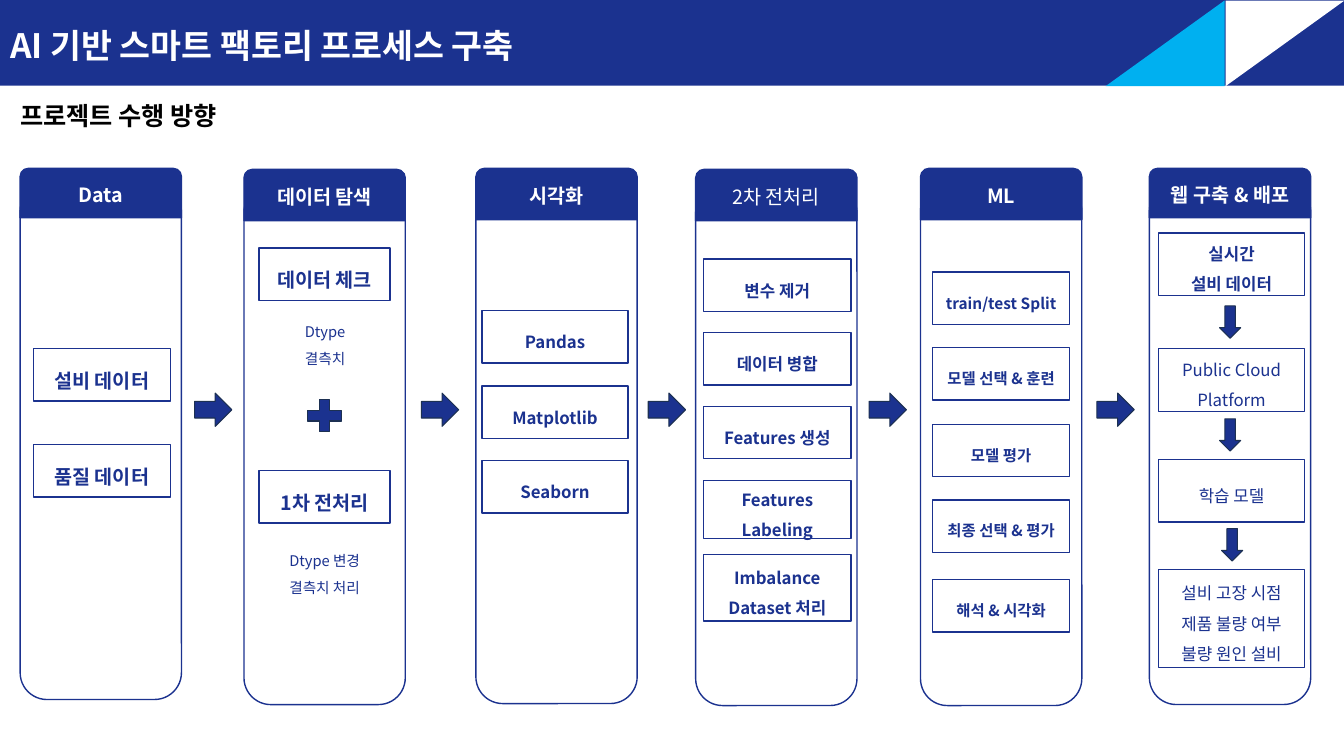
from dataclasses import dataclass

import pptx
import pptx.dml.color
import pptx.enum.shapes
import pptx.enum.text
import pptx.oxml
import pptx.oxml.ns
import pptx.presentation
import pptx.shapes.autoshape
import pptx.slide
import pptx.text.text
import pptx.util

Inches = pptx.util.Inches
MSO_SHAPE = pptx.enum.shapes.MSO_SHAPE
PP_ALIGN = pptx.enum.text.PP_ALIGN
MSO_ANCHOR = pptx.enum.text.MSO_ANCHOR


@dataclass(frozen=True)
class Theme:
    font: str = "Noto Sans CJK KR"
    navy: str = "1B328F"
    arrow_edge: str = "1C3052"
    cyan: str = "00B0F0"
    white: str = "FFFFFF"
    black: str = "000000"
    title: float = 24
    subtitle: float = 18
    heading: float = 14
    card: float = 12
    small_card: float = 11
    note: float = 10.5


@dataclass(frozen=True)
class Box:
    left: float
    top: float
    width: float
    height: float


@dataclass(frozen=True)
class Style:
    size: float
    color: str
    bold: bool = True
    align: PP_ALIGN = PP_ALIGN.CENTER
    spacing: float = 1.0


@dataclass(frozen=True)
class Card:
    top: float
    lines: tuple[str, ...]
    height: float = 0.52
    bold: bool = True


@dataclass(frozen=True)
class Stage:
    heading: str
    left: float
    top: float
    bottom: float
    head_height: float
    card_left: float
    card_width: float
    card_size: float
    cards: tuple[Card, ...]
    heading_bold: bool = True


THEME = Theme()
STAGE_WIDTH = 1.6
BODY_OFFSET = 0.16  # body top below the heading top

STAGES = (
    Stage("Data", 0.2, 1.67, 6.94, 0.49, 0.33, 1.36, THEME.heading, (
        Card(3.46, ("설비 데이터",)),
        Card(4.41, ("품질 데이터",)),
    )),
    Stage("데이터 탐색", 2.42, 1.68, 6.99, 0.51, 2.57, 1.3, THEME.heading, (
        Card(2.46, ("데이터 체크",)),
        Card(4.67, ("1차 전처리",)),
    )),
    Stage("시각화", 4.72, 1.67, 6.98, 0.51, 4.78, 1.45, THEME.card, (
        Card(3.08, ("Pandas",)),
        Card(3.83, ("Matplotlib",)),
        Card(4.57, ("Seaborn",)),
    )),
    Stage("2차 전처리", 6.9, 1.68, 7.0, 0.51, 6.98, 1.46, THEME.card, (
        Card(2.57, ("변수 제거",)),
        Card(3.3, ("데이터 병합",)),
        Card(4.03, ("Features 생성",)),
        Card(4.77, ("Features Labeling",), 0.57),
        Card(5.5, ("Imbalance Dataset 처리",), 0.66),
    ), heading_bold=False),
    Stage("ML", 9.13, 1.67, 7.0, 0.51, 9.25, 1.36, THEME.small_card, (
        Card(2.7, ("train/test Split",)),
        Card(3.45, ("모델 선택 & 훈련",)),
        Card(4.21, ("모델 평가",)),
        Card(4.96, ("최종 선택 & 평가",)),
        Card(5.75, ("해석 & 시각화",)),
    )),
    Stage("웹 구축 & 배포", 11.4, 1.67, 6.99, 0.49, 11.49, 1.45, THEME.card, (
        Card(2.31, ("실시간", "설비 데이터"), 0.62),
        Card(3.46, ("Public Cloud Platform",), 0.62, False),
        Card(4.56, ("학습 모델",), 0.62, False),
        Card(5.65, ("설비 고장 시점", "제품 불량 여부", "불량 원인 설비"), 0.97, False),
    )),
)
NOTES = (
    (Box(2.66, 3.07, 1.13, 0.63), ("Dtype", "결측치")),
    (Box(2.57, 5.34, 1.3, 0.63), ("Dtype 변경", "결측치 처리")),
)
STAGE_ARROW_LEFTS = (1.93, 4.18, 6.43, 8.62, 10.88)
DEPLOY_ARROWS = ((12.04, 3.09), (12.04, 4.21), (12.06, 5.3))


def rgb(color: str) -> pptx.dml.color.RGBColor:
    return pptx.dml.color.RGBColor.from_string(color)


def lengths(box: Box) -> tuple[int, ...]:
    return tuple(Inches(v) for v in (box.left, box.top, box.width, box.height))


def write(tf: pptx.text.text.TextFrame, lines: tuple[str, ...], style: Style) -> None:
    """Fill a text frame with one paragraph per line."""
    tf.word_wrap = True
    for i, line in enumerate(lines):
        p = tf.paragraphs[0] if i == 0 else tf.add_paragraph()
        p.alignment = style.align
        p.line_spacing = style.spacing
        r = p.add_run()
        r.text = line
        r.font.size = pptx.util.Pt(style.size)
        r.font.bold = style.bold
        r.font.color.rgb = rgb(style.color)
        r.font.name = THEME.font
        ea = pptx.oxml.parse_xml(f'<a:ea {pptx.oxml.ns.nsdecls("a")} typeface="{THEME.font}"/>')
        r.font._element.find(pptx.oxml.ns.qn("a:latin")).addnext(ea)


def add_shape(s: pptx.slide.Slide, kind: MSO_SHAPE, box: Box, fill: str,
              line: str | None = None, weight: float = 1,
              rotation: float = 0) -> pptx.shapes.autoshape.Shape:
    sp = s.shapes.add_shape(kind, *lengths(box))
    sp.shadow.inherit = False
    sp.rotation = rotation
    sp.fill.solid()
    sp.fill.fore_color.rgb = rgb(fill)
    if line is None:
        sp.line.fill.background()
    else:
        sp.line.color.rgb = rgb(line)
        sp.line.width = pptx.util.Pt(weight)
    return sp


def add_text(s: pptx.slide.Slide, box: Box, lines: tuple[str, ...], style: Style) -> None:
    write(s.shapes.add_textbox(*lengths(box)).text_frame, lines, style)


def add_arrow(s: pptx.slide.Slide, box: Box, rotation: float = 0) -> None:
    add_shape(s, MSO_SHAPE.RIGHT_ARROW, box, THEME.navy, THEME.arrow_edge, 0.75, rotation)


def add_stage(s: pptx.slide.Slide, stage: Stage) -> None:
    body_top = stage.top + BODY_OFFSET
    add_shape(s, MSO_SHAPE.ROUNDED_RECTANGLE,
              Box(stage.left, body_top, STAGE_WIDTH, stage.bottom - body_top),
              THEME.white, THEME.navy)
    head = add_shape(s, MSO_SHAPE.ROUND_2_SAME_RECTANGLE,
                     Box(stage.left, stage.top, STAGE_WIDTH, stage.head_height),
                     THEME.navy, THEME.navy)
    write(head.text_frame, (stage.heading,),
          Style(THEME.heading, THEME.white, stage.heading_bold))
    for card in stage.cards:
        sp = add_shape(s, MSO_SHAPE.RECTANGLE,
                       Box(stage.card_left, card.top, stage.card_width, card.height),
                       THEME.white, THEME.navy)
        write(sp.text_frame, card.lines,
              Style(stage.card_size, THEME.navy, card.bold, spacing=1.5))


def add_header(s: pptx.slide.Slide) -> None:
    title = s.shapes.title
    title.left, title.top, title.width, title.height = lengths(Box(0, 0, 13.33, 0.85))
    title.fill.solid()
    title.fill.fore_color.rgb = rgb(THEME.navy)
    title.text_frame.auto_size = pptx.enum.text.MSO_AUTO_SIZE.NONE
    title.text_frame.vertical_anchor = MSO_ANCHOR.TOP
    write(title.text_frame, ("AI 기반 스마트 팩토리 프로세스 구축",),
          Style(THEME.title, THEME.white, align=PP_ALIGN.LEFT, spacing=1.5))
    for left, color, rotation in ((12.32, THEME.white, 90), (11.13, THEME.cyan, 270)):
        add_shape(s, MSO_SHAPE.RIGHT_TRIANGLE, Box(left, -0.16, 0.85, 1.18),
                  color, rotation=rotation)
    add_text(s, Box(0.1, 0.95, 2.48, 0.4), ("프로젝트 수행 방향",),
             Style(THEME.subtitle, THEME.black, align=PP_ALIGN.LEFT))


def main() -> None:
    prs = pptx.Presentation()
    prs.slide_width, prs.slide_height = Inches(13.33), Inches(7.5)
    s = prs.slides.add_slide(prs.slide_layouts.get_by_name("Title Only"))
    add_header(s)
    for stage in STAGES:
        add_stage(s, stage)
    for box, lines in NOTES:
        add_text(s, box, lines, Style(THEME.note, THEME.navy, False, spacing=1.5))
    add_shape(s, MSO_SHAPE.MATH_PLUS, Box(2.99, 3.91, 0.46, 0.43), THEME.navy, THEME.arrow_edge)
    for left in STAGE_ARROW_LEFTS:
        add_arrow(s, Box(left, 3.9, 0.37, 0.33))
    for left, top in DEPLOY_ARROWS:
        add_arrow(s, Box(left, top, 0.32, 0.21), 90)
    prs.save("out.pptx")


if __name__ == "__main__":
    main()
